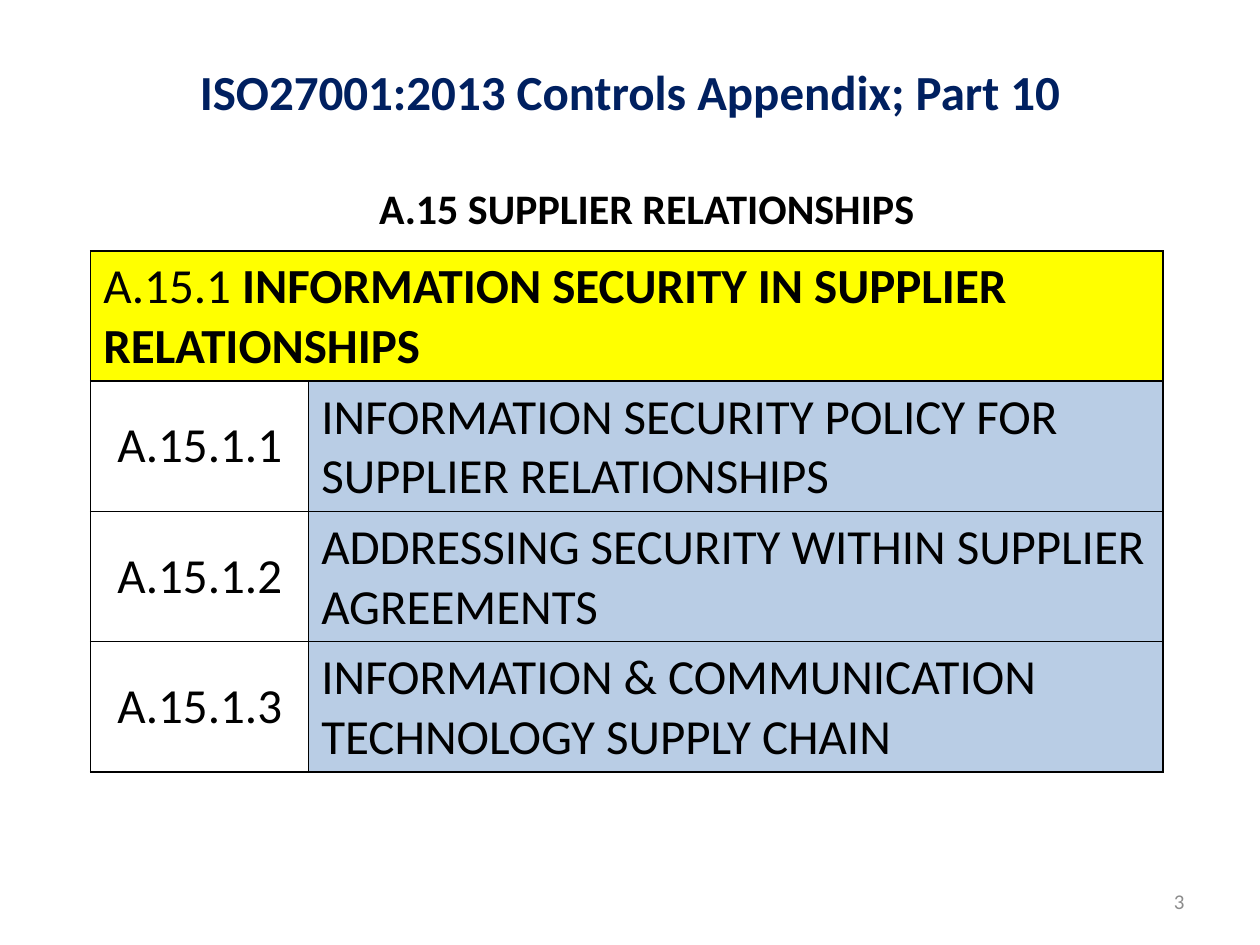
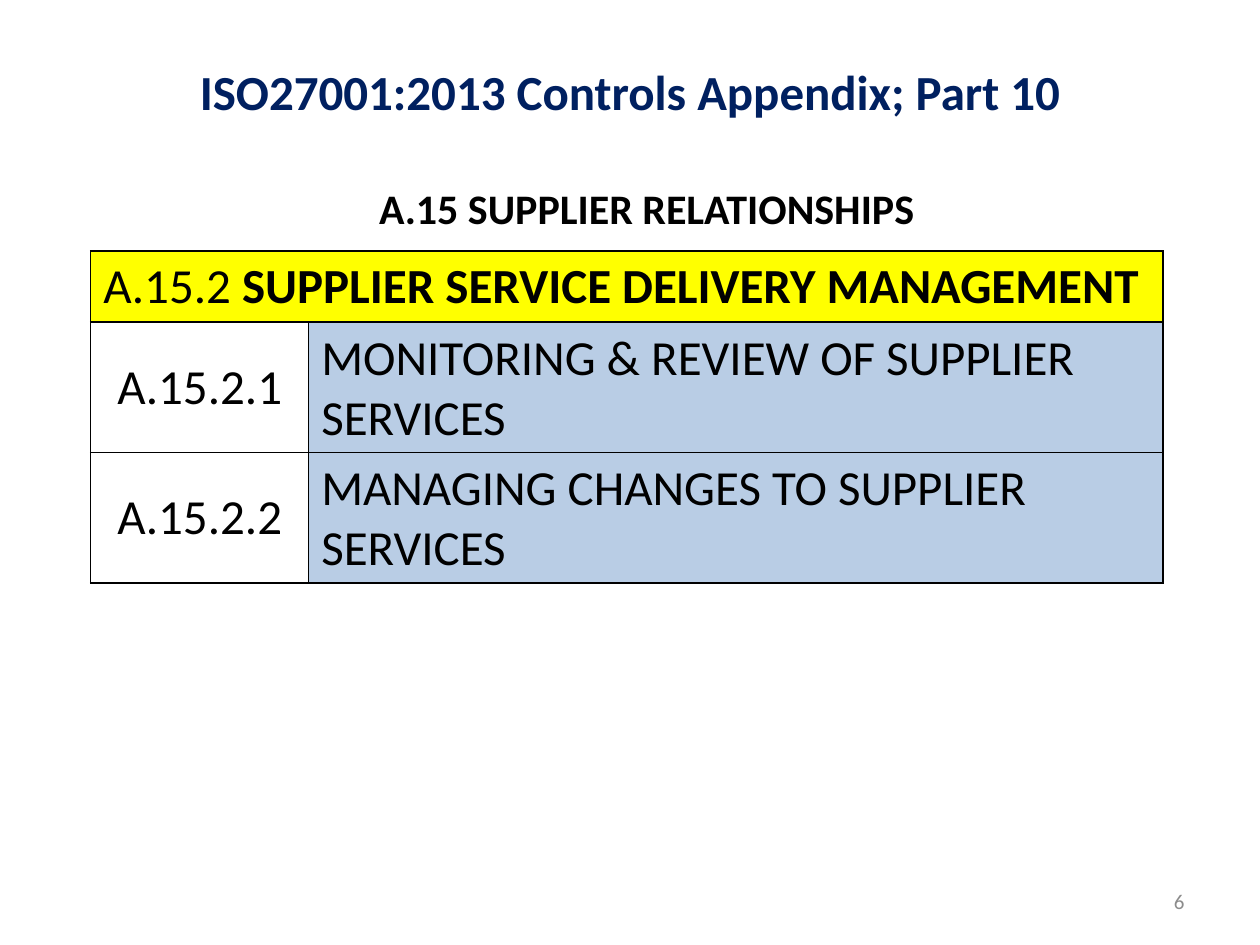
from dataclasses import dataclass

from lxml import etree
from pptx import Presentation
from pptx import util as u
from pptx.dml.color import RGBColor
from pptx.enum import text as t
from pptx.oxml import ns

FONT = "Calibri"
NAVY, BLACK, GREY = "002060", "000000", "8C8C8C"
YELLOW, BLUE = "FFFF00", "B9CDE5"
COLS, ROWS = 100, 75
TITLE = "ISO27001:2013 Controls Appendix; Part 10"
TOPIC = "A.15 SUPPLIER RELATIONSHIPS"
LEFT, MID = t.PP_ALIGN.LEFT, t.PP_ALIGN.CENTER

deck = Presentation()
deck.slide_width, deck.slide_height = u.Inches(10), u.Inches(7.5)


@dataclass
class Box:
    col: float
    row: float
    wide: float
    high: float

    def place(self) -> tuple[int, int, int, int]:
        return across(self.col), down(self.row), across(self.wide), down(self.high)


@dataclass
class Group:
    page: str
    code: str
    name: str
    lines: int
    items: list[str]


HEAD = Box(5, 2.3, 90, 9.8)
SUB = Box(29.1, 14, 44.9, 5)
FOOT = Box(71.7, 69.5, 23.3, 4)
GRID = Box(7.2, 19.9, 85.1, 0)
CODE = 17.3

GROUPS = [
    Group("3", "A.15.1", "INFORMATION SECURITY IN SUPPLIER RELATIONSHIPS", 2, [
        "INFORMATION SECURITY POLICY FOR SUPPLIER RELATIONSHIPS",
        "ADDRESSING SECURITY WITHIN SUPPLIER AGREEMENTS",
        "INFORMATION & COMMUNICATION TECHNOLOGY SUPPLY CHAIN",
    ]),
    Group("6", "A.15.2", "SUPPLIER SERVICE DELIVERY MANAGEMENT", 1, [
        "MONITORING & REVIEW OF SUPPLIER SERVICES",
        "MANAGING CHANGES TO SUPPLIER SERVICES",
    ]),
]


def across(n: float) -> int:
    return round(deck.slide_width * n / COLS)


def down(n: float) -> int:
    return round(deck.slide_height * n / ROWS)


def tall(lines: int) -> int:
    return down(1 + 4.6 * lines)


def paint(run, size: float, tint: str, bold: bool = False) -> None:
    run.font.name, run.font.size, run.font.bold = FONT, u.Pt(size), bold
    run.font.color.rgb = RGBColor.from_string(tint)


def write(frame, words: str, size: float, tint: str, bold=False, align=LEFT) -> None:
    frame.text = words
    para = frame.paragraphs[0]
    para.alignment = align
    paint(para.runs[0], size, tint, bold)


def edge(cell) -> None:
    props = cell._tc.get_or_add_tcPr()
    for i, side in enumerate(("lnL", "lnR", "lnT", "lnB")):
        line = etree.Element(ns.qn("a:" + side), w=str(u.Pt(1)))
        fill = etree.SubElement(line, ns.qn("a:solidFill"))
        etree.SubElement(fill, ns.qn("a:srgbClr"), val=BLACK)
        props.insert(i, line)


def shade(cell, tint: str | None) -> None:
    if tint:
        cell.fill.solid()
        cell.fill.fore_color.rgb = RGBColor.from_string(tint)
    else:
        cell.fill.background()
    edge(cell)


def label(slide, box: Box, words: str, size: float, tint: str, bold=False, align=LEFT):
    frame = slide.shapes.add_textbox(*box.place()).text_frame
    write(frame, words, size, tint, bold, align)
    return frame


def table(slide, group: Group) -> None:
    sizes = [tall(group.lines)] + [tall(2)] * len(group.items)
    x, y, wide, _ = GRID.place()
    grid = slide.shapes.add_table(len(sizes), 2, x, y, wide, sum(sizes)).table
    grid.first_row = grid.horz_banding = False
    grid.columns[0].width = across(CODE)
    grid.columns[1].width = wide - across(CODE)
    for row, high in zip(grid.rows, sizes):
        row.height = high

    top = grid.cell(0, 0)
    top.merge(grid.cell(0, 1))
    write(top.text_frame, group.code + " ", 28, BLACK)
    name = top.text_frame.paragraphs[0].add_run()
    name.text = group.name
    paint(name, 28, BLACK, True)
    for cell in grid.rows[0].cells:
        shade(cell, YELLOW)

    for i, item in enumerate(group.items, 1):
        parts = ((f"{group.code}.{i}", MID, None), (item, LEFT, BLUE))
        for cell, (words, align, tint) in zip(grid.rows[i].cells, parts):
            write(cell.text_frame, words, 28, BLACK, align=align)
            cell.vertical_anchor = t.MSO_ANCHOR.MIDDLE
            shade(cell, tint)


def build(group: Group) -> None:
    slide = deck.slides.add_slide(deck.slide_layouts[5])
    head = slide.shapes.title
    head.left, head.top, head.width, head.height = HEAD.place()
    write(head.text_frame, TITLE, 28, NAVY, True, MID)
    head.text_frame.vertical_anchor = t.MSO_ANCHOR.MIDDLE
    foot = label(slide, FOOT, group.page, 12, GREY, align=t.PP_ALIGN.RIGHT)
    foot.word_wrap = True
    foot.vertical_anchor = t.MSO_ANCHOR.MIDDLE
    topic = label(slide, SUB, TOPIC, 24, BLACK, True)
    topic.word_wrap = False
    topic.auto_size = t.MSO_AUTO_SIZE.SHAPE_TO_FIT_TEXT
    table(slide, group)


for group in GROUPS:
    build(group)
deck.save("out.pptx")
